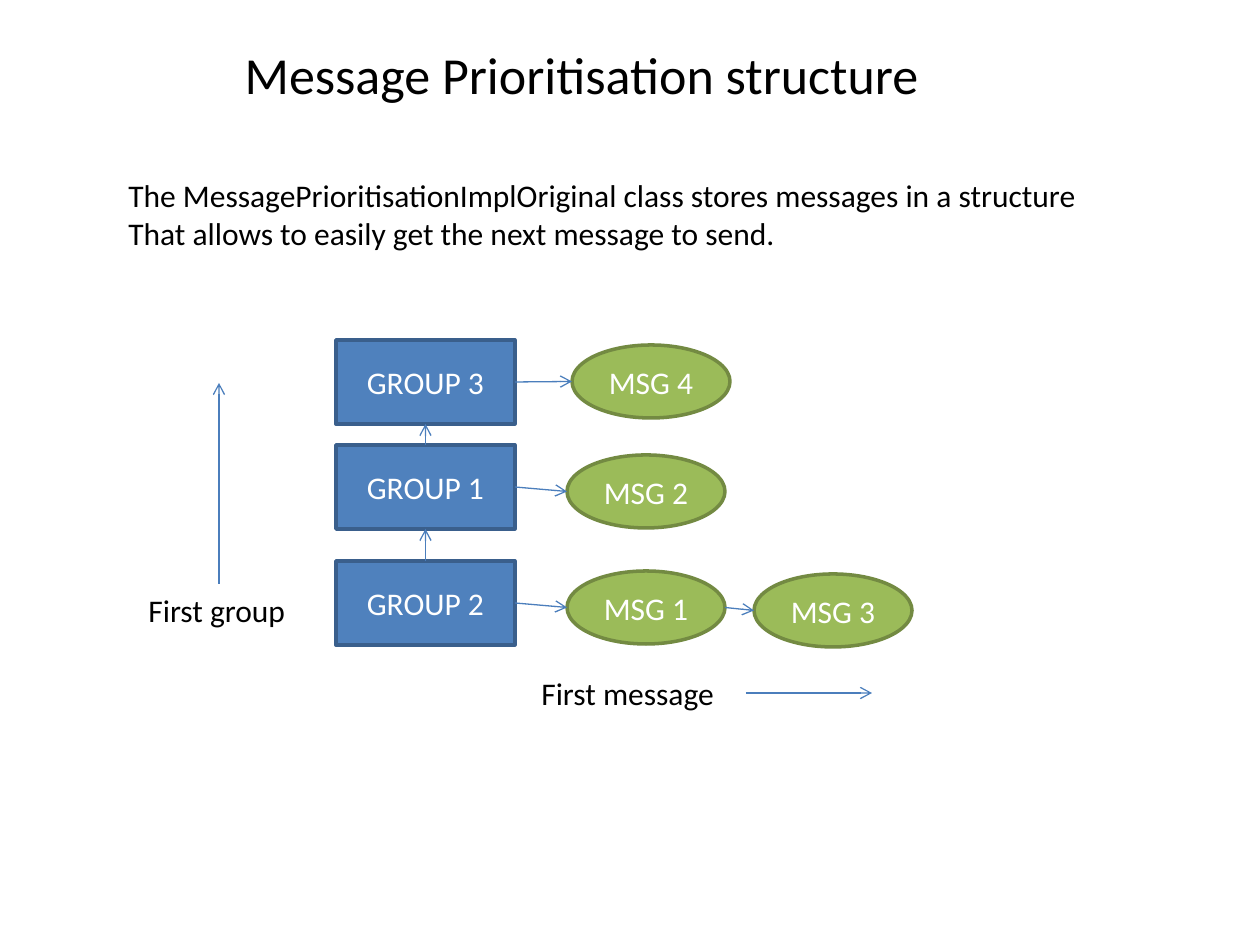
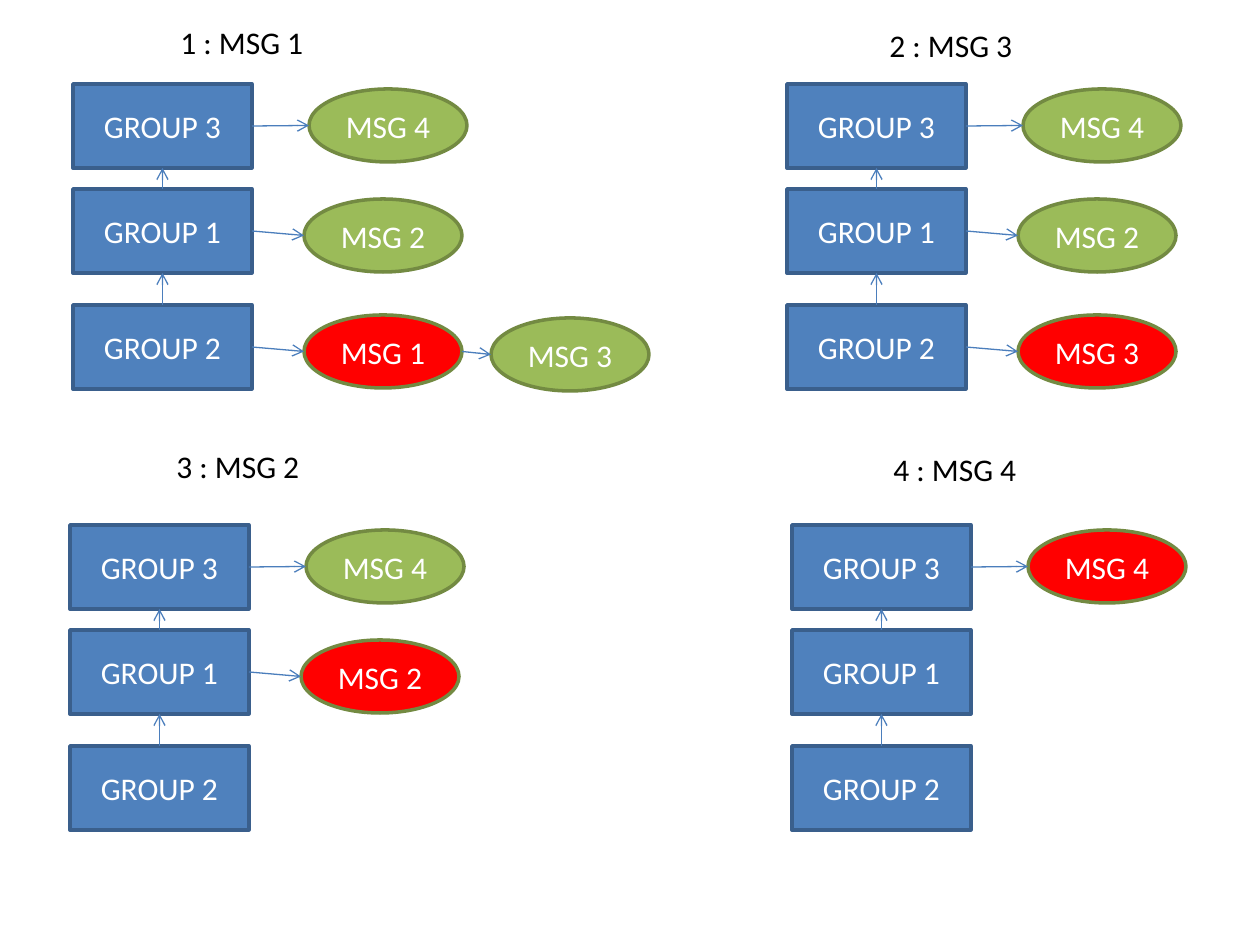
from pptx import Presentation
from pptx.dml.color import RGBColor
from pptx.enum.shapes import MSO_CONNECTOR, MSO_SHAPE
from pptx.enum.text import MSO_ANCHOR, MSO_AUTO_SIZE, PP_ALIGN
from pptx.oxml.ns import qn
from pptx.util import Emu, Pt
from lxml import etree

RECTANGLE, OVAL = MSO_SHAPE.RECTANGLE, MSO_SHAPE.OVAL
STRAIGHT = MSO_CONNECTOR.STRAIGHT
LEFT, CENTER = PP_ALIGN.LEFT, PP_ALIGN.CENTER
TOP, MIDDLE = MSO_ANCHOR.TOP, MSO_ANCHOR.MIDDLE
NO_FIT, GROW = MSO_AUTO_SIZE.NONE, MSO_AUTO_SIZE.SHAPE_TO_FIT_TEXT

BLACK = RGBColor(0x00, 0x00, 0x00)
WHITE = RGBColor(0xFF, 0xFF, 0xFF)
BLUE = RGBColor(0x4F, 0x81, 0xBD)
BLUE_EDGE = RGBColor(0x3A, 0x5F, 0x8C)
GREEN = RGBColor(0x9B, 0xBB, 0x59)
GREEN_EDGE = RGBColor(0x73, 0x8A, 0x42)
RED = RGBColor(0xFF, 0x00, 0x00)
ARROW = RGBColor(0x4B, 0x7E, 0xBC)

FONT = "Calibri"
PIXELS_PER_INCH = 126
SLIDE_SIZE = (1260, 945)
TITLE_ONLY, BLANK = 5, 6

# Queue geometry, relative to the top left corner of the queue
GROUP_SIZE = (179, 84)
MESSAGE_SIZE = (158, 73)
GROUPS = [("GROUP 3", 0), ("GROUP 1", 105), ("GROUP 2", 221)]
FIRST_MESSAGE_OFFSETS = [(236, 5), (231, 115), (231, 231)]
NEXT_MESSAGE_STEP = (187, 3)

# Sides of a shape, numbered as the connection sites of a rectangle
TOP_SIDE, LEFT_SIDE, BOTTOM_SIDE, RIGHT_SIDE = range(4)


def px(pixels):
    return Emu(round(pixels * 914400 / PIXELS_PER_INCH))


def write_text(frame, text, size=18, color=BLACK, align=LEFT, anchor=TOP,
               wrap=True, fit=NO_FIT):
    frame.word_wrap = wrap
    frame.auto_size = fit
    frame.vertical_anchor = anchor
    frame.text = text
    for paragraph in frame.paragraphs:
        paragraph.alignment = align
        paragraph.font.name = FONT
        paragraph.font.size = Pt(size)
        paragraph.font.color.rgb = color


def add_label(slide, text, left, top, width, height=50, wrap=False):
    box = slide.shapes.add_textbox(px(left), px(top), px(width), px(height))
    write_text(box.text_frame, text, wrap=wrap, fit=GROW)


def add_node(slide, kind, text, position, size, fill, edge):
    shape = slide.shapes.add_shape(kind, *map(px, position), *map(px, size))
    shape.shadow.inherit = False
    shape.fill.solid()
    shape.fill.fore_color.rgb = fill
    shape.line.color.rgb = edge
    shape.line.width = Pt(2)
    write_text(shape.text_frame, text, color=WHITE, align=CENTER, anchor=MIDDLE)
    return shape


def add_arrow(slide, start=(0, 0), end=(0, 0)):
    connector = slide.shapes.add_connector(STRAIGHT, *map(px, start), *map(px, end))
    connector.line.color.rgb = ARROW
    connector.line.width = Pt(0.75)
    properties = connector._element.spPr
    line = properties.find(qn("a:ln"))
    etree.SubElement(line, qn("a:tailEnd")).set("type", "arrow")
    etree.SubElement(properties, qn("a:effectLst"))
    return connector


def join(slide, source, source_side, target, target_side):
    connector = add_arrow(slide)
    connector.begin_connect(source, source_side)
    connector.end_connect(target, target_side)
    # An oval has eight sites, so its sides are every second one
    for tag, shape, side in (("a:stCxn", source, source_side),
                             ("a:endCxn", target, target_side)):
        if shape.auto_shape_type == OVAL:
            link = next(connector._element.iter(qn(tag)))
            link.set("idx", str(2 * side))


def add_queue(slide, left, top, rows, sent=None):
    """Stack the groups; rows holds the message names beside each group."""
    group_above = None
    for (name, drop), (dx, dy), messages in zip(GROUPS, FIRST_MESSAGE_OFFSETS, rows):
        group = add_node(slide, RECTANGLE, name, (left, top + drop), GROUP_SIZE,
                         BLUE, BLUE_EDGE)
        if group_above is not None:
            join(slide, group, TOP_SIDE, group_above, BOTTOM_SIDE)
        group_above = group

        # Chain the messages to the right of their group
        previous = group
        for index, message in enumerate(messages):
            position = (left + dx + index * NEXT_MESSAGE_STEP[0],
                        top + dy + index * NEXT_MESSAGE_STEP[1])
            fill = RED if message == sent else GREEN
            node = add_node(slide, OVAL, message, position, MESSAGE_SIZE,
                            fill, GREEN_EDGE)
            join(slide, previous, RIGHT_SIDE, node, LEFT_SIDE)
            previous = node


def build_structure_slide(presentation):
    slide = presentation.slides.add_slide(presentation.slide_layouts[TITLE_ONLY])
    title = slide.shapes.title
    title.left, title.top, title.width, title.height = map(px, (219, 32, 726, 84))
    write_text(title.text_frame, "Message Prioritisation structure", size=29.7,
               align=CENTER, anchor=MIDDLE)
    add_label(slide, "The MessagePrioritisationImplOriginal class stores messages "
              "in a structure\nThat allows to easily get the next message to send.",
              116, 170, 983, 89)

    add_queue(slide, 336, 340, [["MSG 4"], ["MSG 2"], ["MSG 1", "MSG 3"]])

    # Reading directions
    add_label(slide, "First group", 136, 585, 164, wrap=True)
    add_arrow(slide, (219, 584), (219, 383))
    add_label(slide, "First message", 529, 668, 199)
    add_arrow(slide, (746, 693), (872, 693))


def build_sending_slide(presentation):
    slide = presentation.slides.add_slide(presentation.slide_layouts[BLANK])
    # Queue corner, caption corner, messages by group, message sent
    steps = [
        ((73, 84), (168, 17), [["MSG 4"], ["MSG 2"], ["MSG 1", "MSG 3"]], "MSG 1"),
        ((787, 84), (877, 20), [["MSG 4"], ["MSG 2"], ["MSG 3"]], "MSG 3"),
        ((70, 525), (164, 441), [["MSG 4"], ["MSG 2"], []], "MSG 2"),
        ((792, 525), (881, 444), [["MSG 4"], [], []], "MSG 4"),
    ]
    for number, (corner, caption, rows, sent) in enumerate(steps, start=1):
        add_queue(slide, *corner, rows, sent)
        add_label(slide, f"{number} : {sent}", *caption, 150)


def main():
    presentation = Presentation()
    presentation.slide_width, presentation.slide_height = map(px, SLIDE_SIZE)
    build_structure_slide(presentation)
    build_sending_slide(presentation)
    presentation.save("out.pptx")


main()
